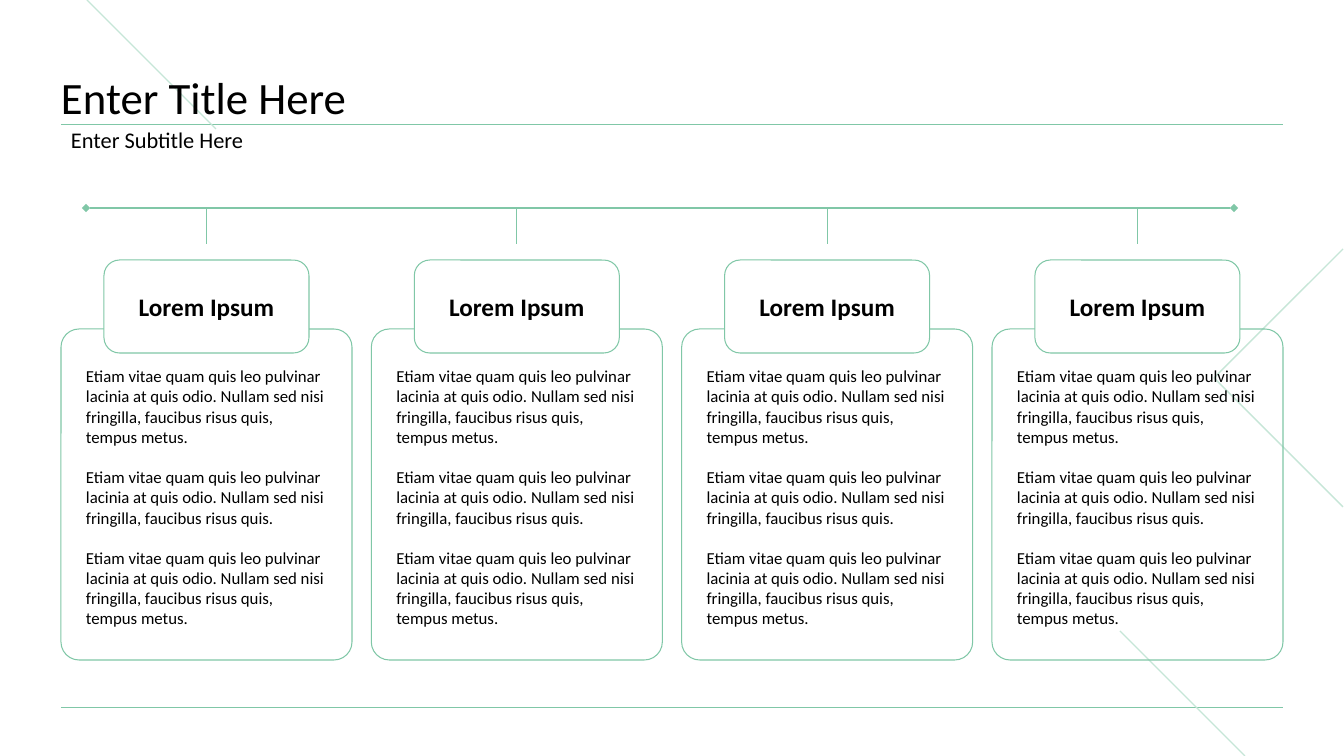
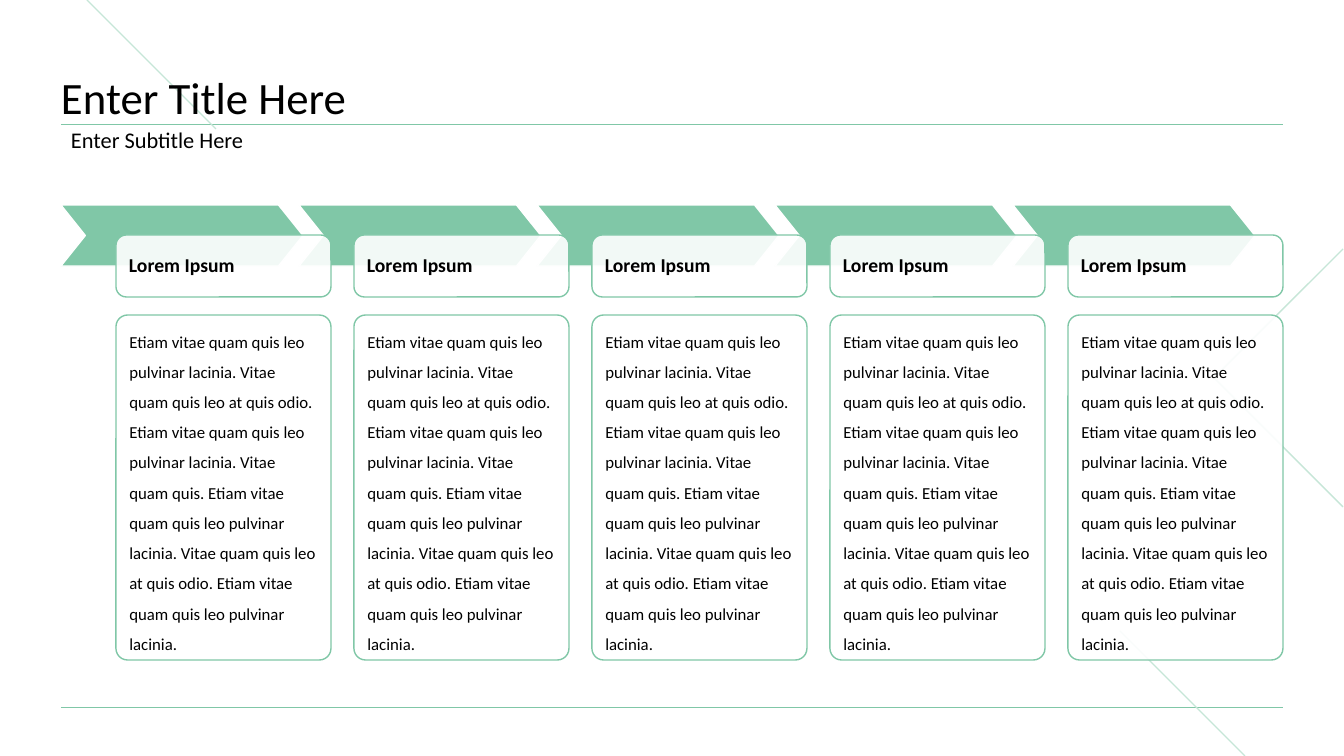
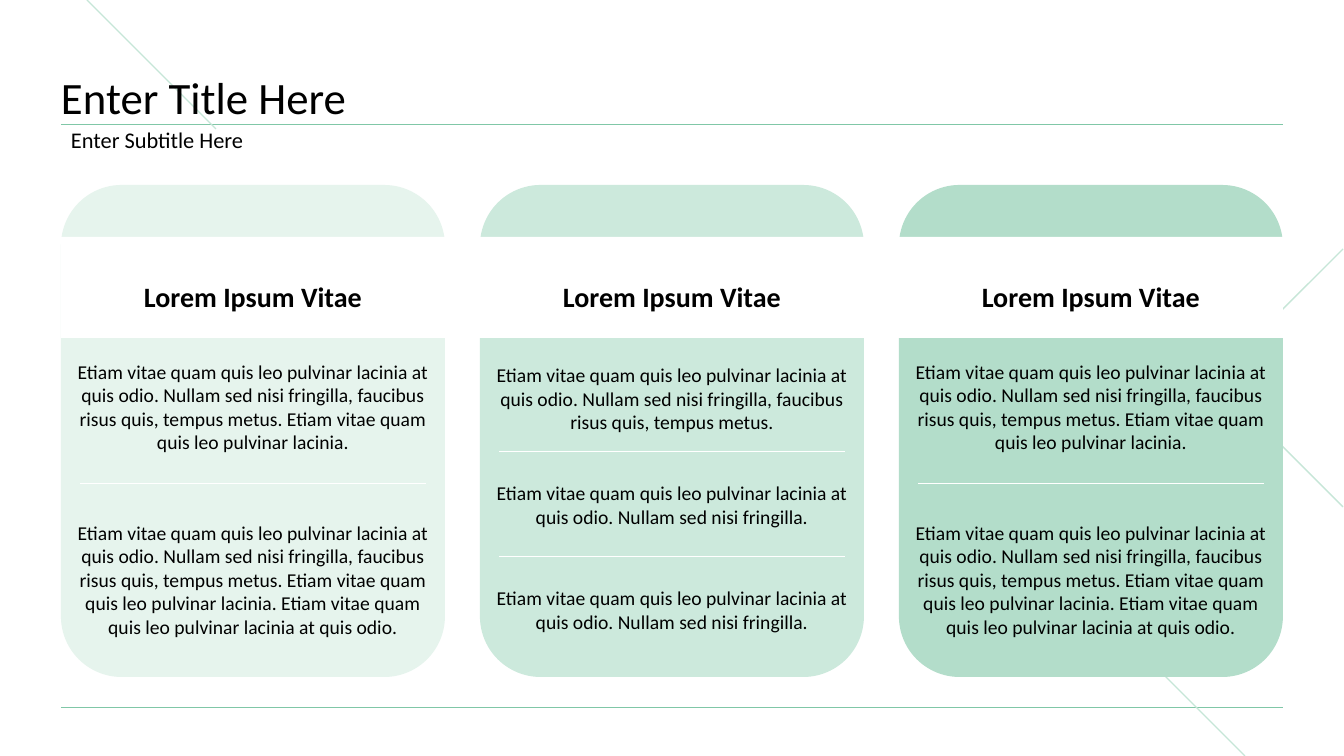
from dataclasses import dataclass
from lxml import etree
from pptx import Presentation
from pptx import util as u
from pptx.dml.color import RGBColor
from pptx.enum import shapes, text
from pptx.oxml import ns

TITLE = "Enter Title Here"
SUBTITLE = "Enter Subtitle Here"

ETIAM = "Etiam vitae quam quis leo pulvinar lacinia"
SHORT = ETIAM + " at quis odio. Nullam sed nisi fringilla."
MEDIUM = ETIAM + " at quis odio. Nullam sed nisi fringilla, faucibus risus quis."
LONG = ETIAM + " at quis odio. Nullam sed nisi fringilla, faucibus risus quis, tempus metus."
LONGER = f"{LONG} {ETIAM}."
LONGEST = f"{LONGER} {ETIAM} at quis odio."
STEP = (f"{ETIAM}. Vitae quam quis leo at quis odio. {ETIAM}. Vitae quam quis. "
        f"{ETIAM}. Vitae quam quis leo at quis odio. {ETIAM}.")

TIMELINE = [("Lorem Ipsum", [LONG, MEDIUM, LONG])] * 4
PROCESS = [("Lorem Ipsum", STEP)] * 5

TWO_ROWS = {"rows": [(356, 101), (509, 141)], "rules": [483]}
THREE_ROWS = {"rows": [(356, 85), (462, 85), (567, 85)], "rules": [451, 556]}
PILLARS = [
    ("Lorem Ipsum Vitae", "E6F4ED", [LONGER, LONGEST], TWO_ROWS),
    ("Lorem Ipsum Vitae", "CCE9DC", [LONG, SHORT, SHORT], THREE_ROWS),
    ("Lorem Ipsum Vitae", "B3DDCA", [LONGER, LONGEST], TWO_ROWS),
]


@dataclass(frozen=True)
class Theme:
    font: str = "Calibri"
    ink: str = "000000"
    paper: str = "FFFFFF"
    green: str = "80C7A7"
    pale: str = "C6E6D7"
    title: int = 32
    pillar: int = 20
    label: int = 18
    subtitle: int = 16
    step: int = 14
    body: int = 12


T = Theme()
WIDTH, HEIGHT = 1344, 756
LEFT, RIGHT = 61, 1283
SPAN = RIGHT - LEFT
INSET = 10
MSO = shapes.MSO_SHAPE
CENTER = text.PP_ALIGN.CENTER
MIDDLE = text.MSO_ANCHOR.MIDDLE


def px(v):
    return u.Emu(round(v * 914400 / 100.8))


def box(*values):
    return [px(v) for v in values]


def columns(left, right, width, count):
    pitch = (right - left - width) / (count - 1)
    return [left + i * pitch for i in range(count)]


def sub(parent, tag, **attrs):
    return etree.SubElement(parent, ns.qn(tag), attrs)


def stroke(line, color, weight):
    line.color.rgb = RGBColor.from_string(color)
    line.width = u.Pt(weight)


def write(sp, paragraphs, size, bold=False, align=text.PP_ALIGN.LEFT, anchor=MIDDLE,
          inset=(INSET, 5), spacing=1.0, before=0, after=0):
    tf = sp.text_frame
    tf.word_wrap = True
    tf.auto_size = text.MSO_AUTO_SIZE.NONE
    tf.vertical_anchor = anchor
    tf.margin_left = tf.margin_right = px(inset[0])
    tf.margin_top = tf.margin_bottom = px(inset[1])
    for i, words in enumerate(paragraphs):
        p = tf.add_paragraph() if i else tf.paragraphs[0]
        p.alignment = align
        p.line_spacing = spacing
        p.space_before, p.space_after = u.Pt(before), u.Pt(after)
        r = p.add_run()
        r.text = words
        r.font.name, r.font.size, r.font.bold = T.font, u.Pt(size), bold
        r.font.color.rgb = RGBColor.from_string(T.ink)


def label(s, area, paragraphs, size, **fmt):
    write(s.shapes.add_textbox(*box(*area)), paragraphs, size, **fmt)


def shape(s, kind, area, fill=None, line=None, weight=1, adj=None, opacity=None):
    sp = s.shapes.add_shape(kind, *box(*area))
    sp.shadow.inherit = False
    if adj is not None:
        sp.adjustments[0] = adj
    if fill:
        sp.fill.solid()
        sp.fill.fore_color.rgb = RGBColor.from_string(fill)
    else:
        sp.fill.background()
    if opacity:
        color = sp._element.spPr.find(ns.qn("a:solidFill"))[0]
        sub(color, "a:alpha", val=str(opacity * 1000))
    if line:
        stroke(sp.line, line, weight)
    else:
        sp.line.fill.background()
    return sp


def rule(s, x1, y1, x2, y2, color=T.green, weight=0.5, ends=None):
    c = s.shapes.add_connector(shapes.MSO_CONNECTOR.STRAIGHT, *box(x1, y1, x2, y2))
    stroke(c.line, color, weight)
    if ends:
        ln = c.line._get_or_add_ln()
        sub(ln, "a:headEnd", type=ends)
        sub(ln, "a:tailEnd", type=ends)
    sub(c._element.spPr, "a:effectLst")
    return c


def decorate(layout, s):
    corner = s.shapes.build_freeform(*box(1343, 249), scale=1.0)
    corner.add_line_segments([box(1214, 378), box(1343, 507)], close=False)
    chevron = corner.convert_to_shape()
    chevron.shadow.inherit = False
    chevron.fill.background()
    stroke(chevron.line, T.pale, 1)
    parts = [
        rule(s, LEFT, 707, RIGHT, 707),
        rule(s, LEFT, 124, RIGHT, 124),
        rule(s, 1120, 631, 1245, HEIGHT, T.pale, 1),
        rule(s, 87, 0, 216, 129, T.pale, 1),
        chevron,
    ]
    for part in parts:
        layout.shapes._spTree.append(part._element)


def place(sp, area):
    sp.left, sp.top, sp.width, sp.height = box(*area)


def new_slide(prs, layout):
    s = prs.slides.add_slide(layout)
    title, subtitle = s.shapes.title, s.placeholders[1]
    place(title, (LEFT, 44, SPAN, 80))
    write(title, [TITLE], T.title, anchor=text.MSO_ANCHOR.BOTTOM, inset=(0, 0), spacing=0.9)
    place(subtitle, (LEFT, 124, SPAN, 34))
    write(subtitle, [SUBTITLE], T.subtitle, spacing=0.9, before=10)
    pPr = subtitle.text_frame.paragraphs[0]._p.get_or_add_pPr()
    pPr.set("marL", "0")
    pPr.set("indent", "0")
    sub(pPr, "a:buNone")
    return s


def timeline(s):
    panel, tab, axis = 291, 205, 208
    rule(s, 86, axis, 1234, axis, weight=0.75, ends="diamond")
    for x, (name, notes) in zip(columns(LEFT, RIGHT, panel, len(TIMELINE)), TIMELINE):
        middle = x + panel / 2
        shape(s, MSO.ROUNDED_RECTANGLE, (x, 329, panel, 331), line=T.green, weight=0.75, adj=0.062)
        sp = shape(s, MSO.ROUNDED_RECTANGLE, (middle - tab / 2, 260, tab, 93),
                   T.paper, T.green, 0.75)
        write(sp, [name], T.label, bold=True, align=CENTER, inset=(INSET, INSET))
        rule(s, middle, axis, middle, 244)
        label(s, (x + 15, 361, panel - 31, 275), notes, T.body,
              anchor=text.MSO_ANCHOR.TOP, after=14.5)


def process(s):
    card, indent = 215, 55
    lefts = columns(LEFT + indent, RIGHT, card, len(PROCESS))
    for x in lefts:
        shape(s, MSO.CHEVRON, (x - indent, 205, 242, 61), T.green, T.paper, adj=0.4)
    for x, (name, note) in zip(lefts, PROCESS):
        sp = shape(s, MSO.ROUNDED_RECTANGLE, (x, 315, card, 345), T.paper, T.green,
                   adj=0.054, opacity=90)
        write(sp, [note], T.body, inset=(INSET, INSET), spacing=1.5)
        sp = shape(s, MSO.ROUNDED_RECTANGLE, (x, 235, card, 62), T.paper, T.green, opacity=90)
        write(sp, [name], T.step, bold=True, inset=(INSET, INSET), spacing=0.9)


def pillars(s):
    pillar, inset, top, height = 384, 19, 237, 101
    lefts = columns(LEFT, RIGHT, pillar, len(PILLARS))
    for x, (_, color, _, _) in zip(lefts, PILLARS):
        shape(s, MSO.ROUNDED_RECTANGLE, (x, 185, pillar, 492), color, adj=0.158)
    shape(s, MSO.RECTANGLE, (LEFT, top, SPAN, height), T.paper)
    for x, (name, _, notes, grid) in zip(lefts, PILLARS):
        label(s, (x, top, pillar, height), [name], T.pillar, bold=True, align=CENTER, spacing=1.5)
        for note, (y, h) in zip(notes, grid["rows"]):
            label(s, (x, y, pillar, h), [note], T.step, align=CENTER)
        for y in grid["rules"]:
            rule(s, x + inset, y, x + pillar - inset, y, T.paper)


prs = Presentation()
prs.slide_width, prs.slide_height = box(WIDTH, HEIGHT)
layout = prs.slide_layouts[1]
for i, draw in enumerate([timeline, process, pillars]):
    s = new_slide(prs, layout)
    if i == 0:
        decorate(layout, s)
    draw(s)
prs.save("out.pptx")
